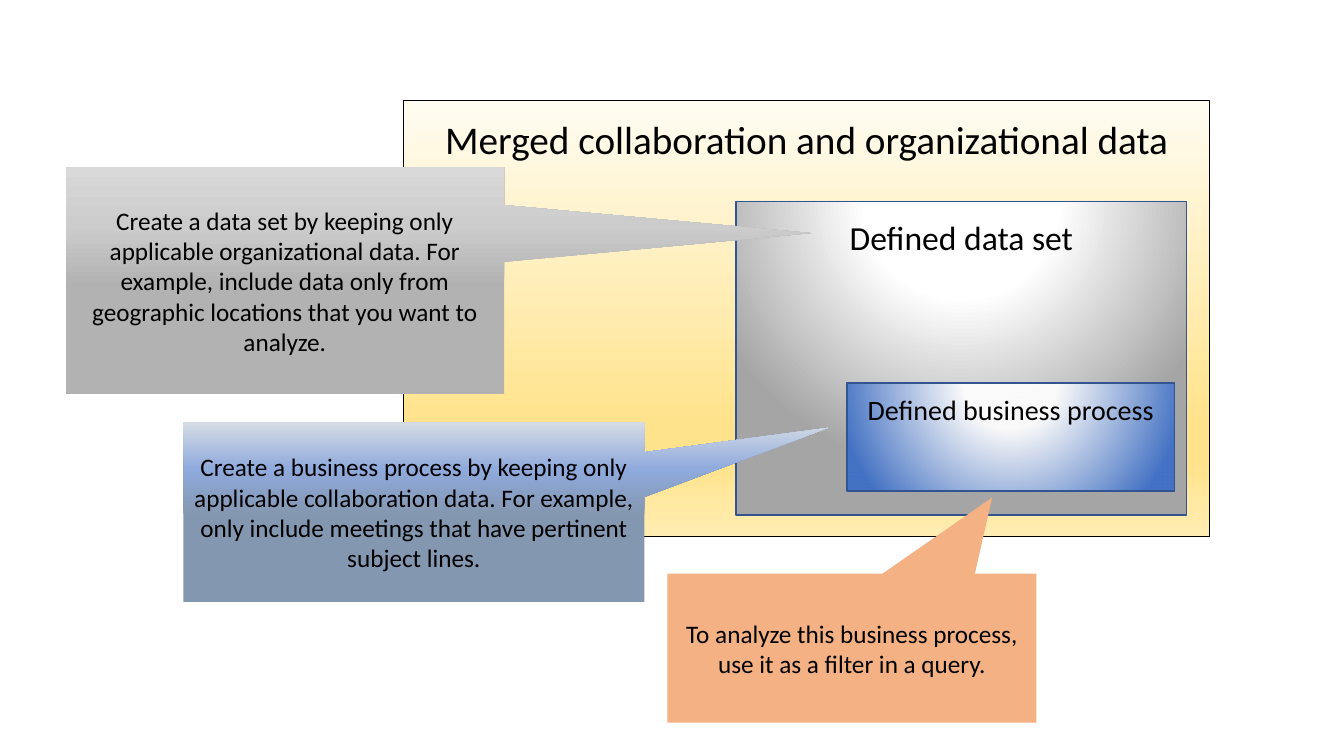
from dataclasses import dataclass

from pptx import Presentation
from pptx.dml.color import RGBColor
from pptx.enum.shapes import MSO_SHAPE as SHAPE
from pptx.enum.text import MSO_ANCHOR as ANCHOR, PP_ALIGN as ALIGN
from pptx.oxml import parse_xml
from pptx.oxml.ns import nsdecls, qn
from pptx.util import Inches, Pt


@dataclass(frozen=True)
class Theme:
    font: str = "Calibri"
    text: str = "000000"
    merged_line: str = "000000"
    inner_line: str = "325491"
    query: str = "F4B183"
    # Gradient stops: position %, colour, opacity %
    merged: tuple = ((0, "FFFCF2", 100), (74, "FFE38C", 100), (83, "FFE38C", 100), (100, "FFECB2", 100))
    data_set: tuple = ((0, "FFFFFF", 100), (35, "FFFFFF", 100), (100, "A5A5A5", 100))
    process: tuple = ((27, "FFFFFF", 92), (100, "4472C4", 100))
    data_set_note: tuple = ((48, "B2B2B2", 100), (74, "CCCCCC", 100), (100, "D9D9D9", 100))
    process_note: tuple = ((48, "8497B0", 100), (74, "8FAADC", 100), (100, "D6DCE5", 100))
    merged_size: int = 28
    data_set_size: int = 24
    process_size: int = 20
    note_size: int = 18


T = Theme()
DOWN = '<a:lin ang="5400000" scaled="0"/>'
UP = '<a:lin ang="16200000" scaled="0"/>'
GLOW = '<a:path path="circle"><a:fillToRect l="50000" t="-80000" r="50000" b="180000"/></a:path>'


def set_gradient(sp, stops, direction):
    gs = "".join(
        f'<a:gs pos="{pos * 1000}"><a:srgbClr val="{color}">'
        f'<a:alpha val="{alpha * 1000}"/></a:srgbClr></a:gs>'
        for pos, color, alpha in stops)
    sp.fill.gradient()
    spPr = sp._element.spPr
    spPr.replace(spPr.find(qn("a:gradFill")), parse_xml(
        f'<a:gradFill {nsdecls("a")} rotWithShape="1"><a:gsLst>{gs}</a:gsLst>{direction}</a:gradFill>'))


def add_box(kind, at, text, size):
    sp = s.shapes.add_shape(kind, *map(Inches, at))
    sp.shadow.inherit = False
    sp.line.fill.background()
    tf = sp.text_frame
    tf.word_wrap = True
    tf.vertical_anchor = ANCHOR.MIDDLE
    p = tf.paragraphs[0]
    p.alignment = ALIGN.CENTER
    r = p.add_run()
    r.text = text
    r.font.name = T.font
    r.font.size = Pt(size)
    r.font.color.rgb = RGBColor.from_string(T.text)
    return sp


prs = Presentation()
prs.slide_width, prs.slide_height = Inches(13.33), Inches(7.5)
s = prs.slides.add_slide(prs.slide_layouts[6])

# Nested data areas, outermost first, each with its heading at the top
areas = [
    ((4, 1, 8, 4.32), "Merged collaboration and organizational data", T.merged_size,
     T.merged, DOWN, T.merged_line, 0.5, 0.14),
    ((7.3, 2, 4.47, 3.11), "Defined data set", T.data_set_size,
     T.data_set, GLOW, T.inner_line, 1, 0.15),
    ((8.4, 3.8, 3.25, 1.07), "Defined business process", T.process_size,
     T.process, GLOW, T.inner_line, 1, 0.09),
]
for at, text, size, stops, direction, line, width, top in areas:
    sp = add_box(SHAPE.RECTANGLE, at, text, size)
    set_gradient(sp, stops, direction)
    sp.line.color.rgb = RGBColor.from_string(line)
    sp.line.width = Pt(width)
    sp.text_frame.vertical_anchor = ANCHOR.TOP
    sp.text_frame.margin_top = Inches(top)

# Callouts, each with its pointer tip relative to the box centre
notes = [
    ((0.65, 1.66, 4.35, 2.25), (1.2, -0.21), T.data_set_note,
     "Create a data set by keeping only applicable organizational data. For example, "
     "include data only from geographic locations that you want to analyze."),
    ((1.82, 4.19, 4.57, 1.78), (0.9, -0.47), T.process_note,
     "Create a business process by keeping only applicable collaboration data. For example, "
     "only include meetings that have pertinent subject lines."),
    ((6.62, 5.69, 3.66, 1.48), (0.38, -1.01), T.query,
     "To analyze this business process, use it as a filter in a query."),
]
for at, tip, fill, text in notes:
    sp = add_box(SHAPE.RECTANGULAR_CALLOUT, at, text, T.note_size)
    sp.adjustments[0], sp.adjustments[1] = tip
    if isinstance(fill, tuple):
        set_gradient(sp, fill, UP)
    else:
        sp.fill.solid()
        sp.fill.fore_color.rgb = RGBColor.from_string(fill)

prs.save("out.pptx")
